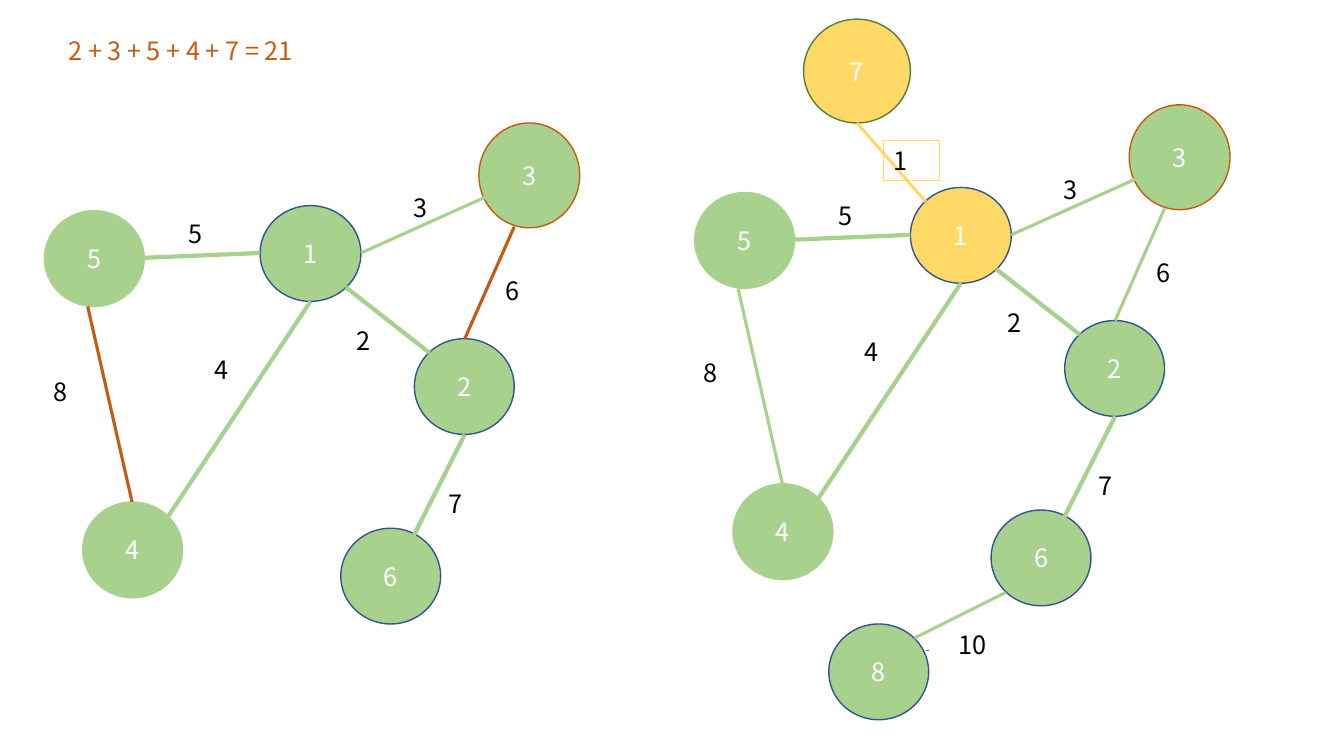
from pptx import Presentation
from pptx.dml.color import RGBColor
from pptx.enum.shapes import MSO_CONNECTOR, MSO_SHAPE
from pptx.enum.text import MSO_ANCHOR, MSO_AUTO_SIZE, PP_ALIGN
from pptx.oxml.ns import qn
from pptx.util import Inches, Pt
from lxml import etree

STRAIGHT = MSO_CONNECTOR.STRAIGHT
NODE = MSO_SHAPE.FLOWCHART_CONNECTOR
ELLIPSE = MSO_SHAPE.OVAL
RECTANGLE = MSO_SHAPE.RECTANGLE
MIDDLE = MSO_ANCHOR.MIDDLE
FIT_SHAPE = MSO_AUTO_SIZE.SHAPE_TO_FIT_TEXT
CENTER = PP_ALIGN.CENTER
LEFT = PP_ALIGN.LEFT

GREEN = "A9D18E"
YELLOW = "FFD966"
ORANGE = "C55A11"
NAVY = "325491"
DARK_GREEN = "538035"
BLUE = "4472C4"
WHITE = "FFFFFF"
BLACK = "000000"

NODES = [
    ("5", 0.44, 2.09, 0.99, 0.95, GREEN),
    ("1", 2.58, 2.04, 1, 0.95, NAVY),
    ("3", 4.75, 1.22, 1, 1.04, ORANGE),
    ("4", 0.82, 4.98, 0.99, 0.95, GREEN),
    ("6", 3.38, 5.24, 0.99, 0.95, NAVY),
    ("2", 4.11, 3.36, 0.99, 0.95, NAVY),
]
EDGES = [
    ("5-4", 0.87, 3.04, 1.31, 4.98, 2.25),
    ("5-1", 1.37, 2.56, 2.58, 2.51, 3),
    ("1-2", 3.43, 2.85, 4.26, 3.5, 3),
    ("2-6", 4.61, 4.31, 4.07, 5.38, 3),
    ("1-4", 3.08, 2.99, 1.67, 5.12, 3),
    ("1-3", 3.58, 2.51, 4.96, 1.89, 2.25),
    ("3-2", 5.1, 2.25, 4.61, 3.36, 2.25),
]
WEIGHTS = [
    ("8", 0.43, 3.68, 0.39),
    ("5", 1.77, 2.12, 0.4),
    ("4", 2.03, 3.47, 0.28),
    ("3", 4, 1.86, 0.45),
    ("2", 3.44, 3.18, 0.36),
    ("6", 4.92, 2.68, 0.47),
    ("7", 4.35, 4.8, 0.41),
]


def rgb(value):
    return RGBColor.from_string(value)


class GraphSlide:
    font_name = "Noto Sans CJK SC"
    font_size = Pt(18)
    label_height = 0.4

    def __init__(self, slide):
        self.shapes = slide.shapes

    def set_text(self, shape, text, color, align):
        paragraph = shape.text_frame.paragraphs[0]
        paragraph.text = text
        paragraph.alignment = align
        paragraph.font.name = self.font_name
        paragraph.font.size = self.font_size
        paragraph.font.color.rgb = rgb(color)

    def node(self, text, x, y, width, height, outline, fill=GREEN, kind=NODE):
        circle = self.shapes.add_shape(kind, Inches(x), Inches(y), Inches(width), Inches(height))
        circle.shadow.inherit = False
        circle.fill.solid()
        circle.fill.fore_color.rgb = rgb(fill)
        circle.line.color.rgb = rgb(outline)
        circle.line.width = Pt(1)
        circle.text_frame.vertical_anchor = MIDDLE
        self.set_text(circle, text, WHITE, CENTER)

    def edge(self, x1, y1, x2, y2, width, color=GREEN):
        line = self.shapes.add_connector(STRAIGHT, Inches(x1), Inches(y1), Inches(x2), Inches(y2))
        line.line.color.rgb = rgb(color)
        line.line.width = Pt(width)
        etree.SubElement(line._element.spPr, qn("a:effectLst"))

    def label(self, text, x, y, width, color=BLACK):
        label = self.shapes.add_textbox(Inches(x), Inches(y), Inches(width), Inches(self.label_height))
        label.text_frame.word_wrap = True
        label.text_frame.auto_size = FIT_SHAPE
        self.set_text(label, text, color, LEFT)

    def boxed_label(self, text, x, y, width, outline):
        box = self.shapes.add_shape(RECTANGLE, Inches(x), Inches(y), Inches(width), Inches(self.label_height))
        box.shadow.inherit = False
        box.fill.background()
        box.line.color.rgb = rgb(outline)
        box.line.width = Pt(0.75)
        box.text_frame.word_wrap = True
        box.text_frame.auto_size = FIT_SHAPE
        self.set_text(box, text, BLACK, LEFT)

    def graph(self, dx=0, dy=0, yellow_nodes=(), orange_edges=()):
        for text, x, y, width, height, outline in NODES:
            fill = YELLOW if text in yellow_nodes else GREEN
            self.node(text, x + dx, y + dy, width, height, outline, fill)
        for ends, x1, y1, x2, y2, width in EDGES:
            color = ORANGE if ends in orange_edges else GREEN
            self.edge(x1 + dx, y1 + dy, x2 + dx, y2 + dy, width, color)
        for text, x, y, width in WEIGHTS:
            self.label(text, x + dx, y + dy, width)


def main():
    presentation = Presentation()
    presentation.slide_width = Inches(13.33)
    presentation.slide_height = Inches(7.5)
    page = GraphSlide(presentation.slides.add_slide(presentation.slide_layouts[6]))

    page.graph(orange_edges=("5-4", "3-2"))
    page.label("2 + 3 + 5 + 4 + 7 = 21", 0.58, 0.3, 3.28, ORANGE)

    page.graph(6.45, -0.18, yellow_nodes=("1",))
    page.node("7", 7.97, 0.19, 1.06, 1.03, DARK_GREEN, YELLOW, ELLIPSE)
    page.edge(8.5, 1.22, 9.18, 2, 2.25, YELLOW)
    page.boxed_label("1", 8.76, 1.39, 0.56, YELLOW)
    page.node("8", 8.22, 6.19, 0.99, 0.95, NAVY, kind=ELLIPSE)
    page.edge(9.18, 6.45, 9.21, 6.45, 0.5, BLUE)
    page.edge(9.07, 6.33, 9.97, 5.88, 2.25)
    page.label("10", 9.41, 6.19, 0.57)

    presentation.save("out.pptx")


if __name__ == "__main__":
    main()
